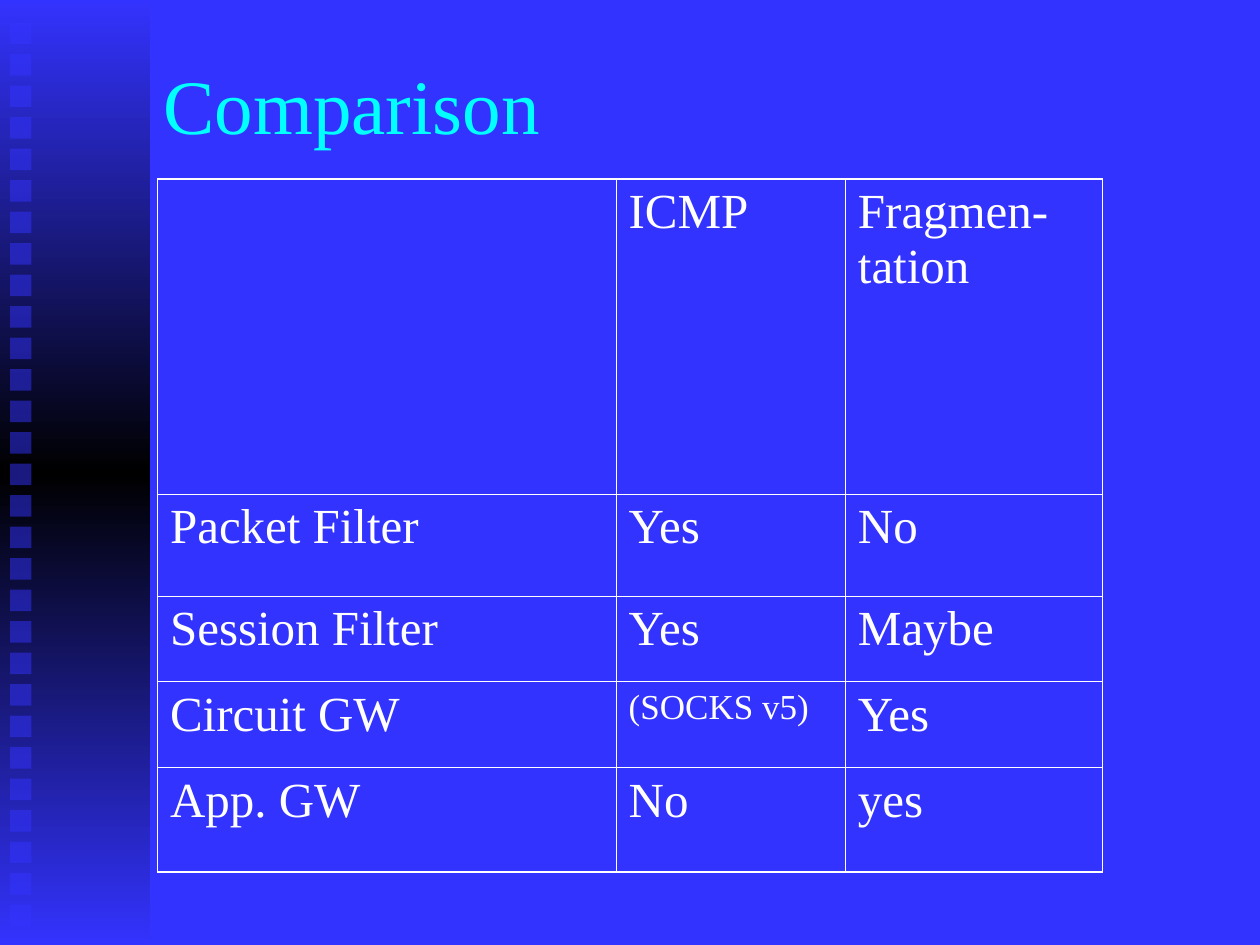
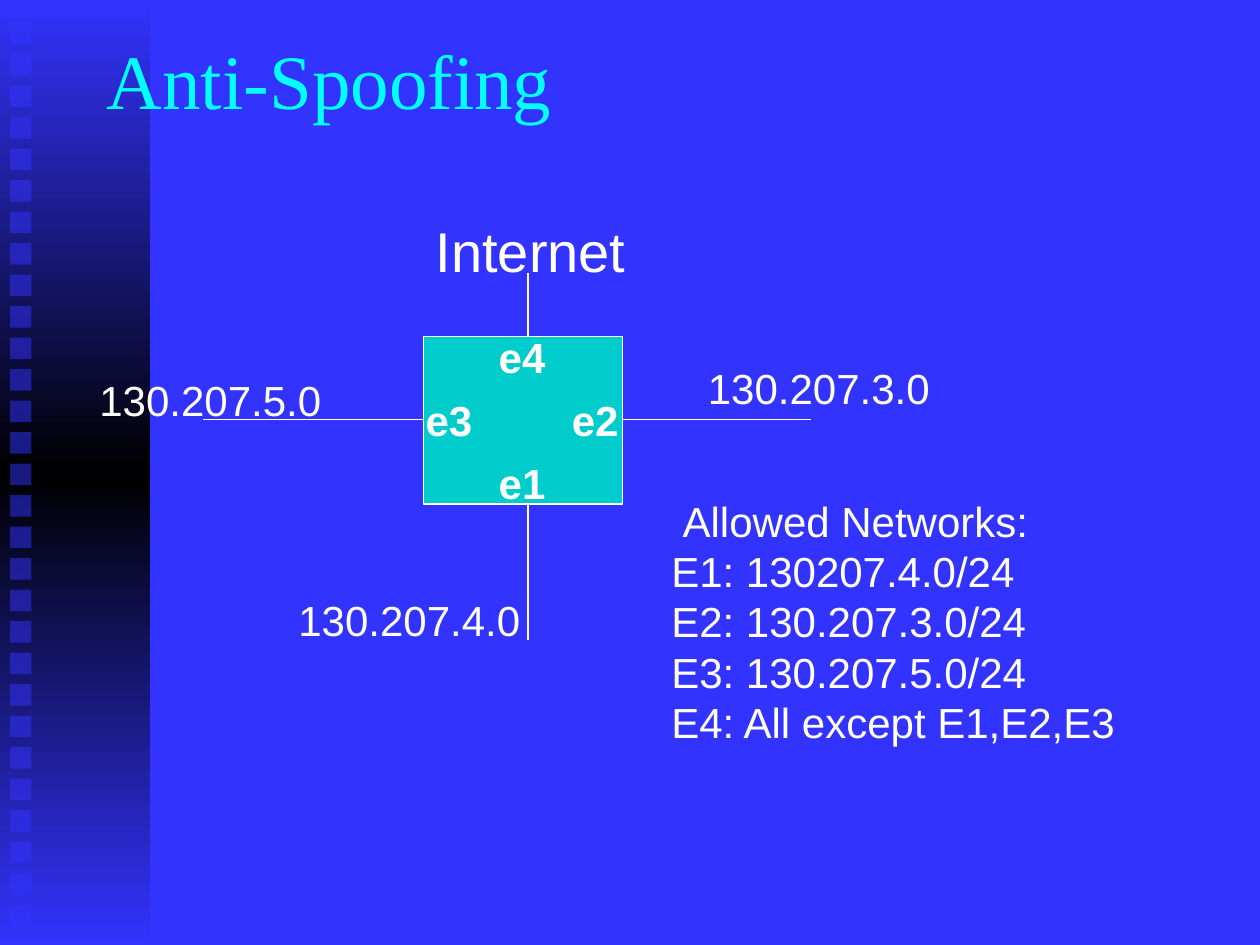
import dataclasses

import pptx
import pptx.dml.color
import pptx.enum.shapes
import pptx.enum.text
import pptx.oxml
import pptx.oxml.ns
import pptx.util
from lxml import etree

Inches = pptx.util.Inches
Pt = pptx.util.Pt
RGB = pptx.dml.color.RGBColor.from_string
qn = pptx.oxml.ns.qn
RECT = pptx.enum.shapes.MSO_SHAPE.RECTANGLE
LINE = pptx.enum.shapes.MSO_CONNECTOR.STRAIGHT
FIT = pptx.enum.text.MSO_AUTO_SIZE.SHAPE_TO_FIT_TEXT
MIDDLE = pptx.enum.text.MSO_ANCHOR.MIDDLE


@dataclasses.dataclass
class Theme:
    """Colours, line widths and text formats of the deck."""
    blue: str = "3333FF"
    black: str = "000000"
    cyan: str = "00FFFF"
    teal: str = "00CCCC"
    white: str = "FFFFFF"
    thin: float = 0.45
    wire: float = 0.74
    thick: float = 1.08

    def __post_init__(self):
        """Set the text formats."""
        self.title = {"name": "Times New Roman", "size": Pt(44), "color": self.cyan}
        self.cell = {"name": "Times New Roman", "size": Pt(28), "color": self.white}
        self.note = {**self.cell, "size": Pt(20)}
        self.label = {"name": "Arial", "size": Pt(24), "color": self.white}
        self.port = {**self.label, "bold": True}
        self.head = {**self.label, "size": Pt(32)}


def write(frame, lines, look):
    """Put lines into a text frame, one paragraph each, in one format."""
    for i, line in enumerate(lines):
        para = frame.paragraphs[0] if i == 0 else frame.add_paragraph()
        run = para.add_run()
        run.text = line
        for key, value in look.items():
            if key == "color":
                run.font.color.rgb = RGB(value)
            else:
                setattr(run.font, key, value)


def label(slide, spot, lines, look, wrap=True):
    """Add a text box at left, top, width, height and return its frame."""
    frame = slide.shapes.add_textbox(*map(Inches, spot)).text_frame
    frame.word_wrap = wrap
    frame.auto_size = FIT
    write(frame, lines, look)
    return frame


theme = Theme()
deck = pptx.Presentation()
deck.slide_width, deck.slide_height = Inches(10), Inches(7.5)

# Shared: background, gradient band with squares, title
slides = []
for title, left, top in (("Comparison", 1.2, 0.2), ("Anti-Spoofing", 0.75, 0)):
    slide = deck.slides.add_slide(deck.slide_layouts[6])
    slides.append(slide)
    slide.background.fill.solid()
    slide.background.fill.fore_color.rgb = RGB(theme.blue)

    band = slide.shapes.add_shape(RECT, 0, 0, Inches(1.19), Inches(7.5))
    band.shadow.inherit = False
    band.line.fill.background()
    band.fill.gradient()
    band.fill.gradient_angle = 90
    stops = band.element.spPr.find(".//" + qn("a:gsLst"))
    for stop in list(stops):
        stops.remove(stop)
    for place, color in ((0, theme.blue), (50, theme.black), (100, theme.blue)):
        stop = etree.SubElement(stops, qn("a:gs"), pos=str(place * 1000))
        etree.SubElement(stop, qn("a:srgbClr"), val=color)

    for i in range(29):
        square = slide.shapes.add_shape(
            RECT, Inches(0.08), Inches(0.18 + 0.25 * i), Inches(0.17), Inches(0.17))
        square.shadow.inherit = False
        square.line.fill.background()
        square.fill.solid()
        square.fill.fore_color.rgb = RGB(theme.blue)
        tint = square.element.spPr.find(".//" + qn("a:srgbClr"))
        etree.SubElement(tint, qn("a:alpha"), val="50000")

    frame = label(slide, (left, top, 8.5, 1.25), [title], theme.title)
    frame.auto_size = pptx.enum.text.MSO_AUTO_SIZE.NONE
    frame.vertical_anchor = MIDDLE

# Slide 1: comparison table
compare, spoof = slides
rows = [
    ("", "ICMP", "Fragmen-tation"),
    ("Packet Filter", "Yes", "No"),
    ("Session Filter", "Yes", "Maybe"),
    ("Circuit GW", "(SOCKS v5)", "Yes"),
    ("App. GW", "No", "yes"),
]
widths = (3.64, 1.82, 2.04)
heights = (2.5, 0.81, 0.68, 0.68, 0.83)
table = compare.shapes.add_table(
    len(rows), len(widths), Inches(1.25), Inches(1.42), Inches(7.5), Inches(5.5)).table
table.first_row = table.horz_banding = False
for col, width in zip(table.columns, widths):
    col.width = Inches(width)
for row, height in zip(table.rows, heights):
    row.height = Inches(height)

for r, texts in enumerate(rows):
    for c, text in enumerate(texts):
        cell = table.cell(r, c)
        cell.fill.background()
        if text:
            look = theme.note if text.startswith("(") else theme.cell
            write(cell.text_frame, [text], look)
        props = cell._tc.get_or_add_tcPr()
        edges = {"L": c == 0, "R": c == len(widths) - 1,
                 "T": r == 0, "B": r == len(rows) - 1}
        for i, (side, outer) in enumerate(edges.items()):
            weight = Pt(theme.thick if outer else theme.thin)
            edge = etree.Element(qn("a:ln" + side), w=str(int(weight)))
            fill = etree.SubElement(edge, qn("a:solidFill"))
            etree.SubElement(fill, qn("a:srgbClr"), val=theme.white)
            props.insert(i, edge)

# Slide 2: router with four ports
router = spoof.shapes.add_shape(
    RECT, Inches(3.36), Inches(2.67), Inches(1.58), Inches(1.33))
router.shadow.inherit = False
router.fill.solid()
router.fill.fore_color.rgb = RGB(theme.teal)
router.line.color.rgb = RGB(theme.white)
router.line.width = Pt(theme.wire)

for ends in ((4.19, 2.67, 4.19, 2.17), (4.94, 3.33, 6.44, 3.33),
             (4.19, 4, 4.19, 5.08), (3.36, 3.33, 1.61, 3.33)):
    wire = spoof.shapes.add_connector(LINE, *map(Inches, ends))
    wire.line.color.rgb = RGB(theme.white)
    wire.line.width = Pt(theme.wire)
    etree.SubElement(wire.element.spPr, qn("a:effectLst"))

label(spoof, (3.36, 1.67, 1.92, 0.64), ["Internet"], theme.head)
for net, left, top in (("130.207.5.0", 0.69, 2.92), ("130.207.3.0", 5.52, 2.83),
                       ("130.207.4.0", 2.27, 4.67)):
    label(spoof, (left, top, 2.48, 0.5), [net], theme.label)
for port, left, top in (("e1", 3.86, 3.58), ("e2", 4.44, 3.08),
                        ("e3", 3.28, 3.08), ("e4", 3.86, 2.58)):
    label(spoof, (left, top, 0.57, 0.5), [port], theme.port, wrap=False)

allowed = label(spoof, (5.23, 3.88, 3.74, 2.1), [
    "Allowed Networks:",
    "E1: 130207.4.0/24",
    "E2: 130.207.3.0/24",
    "E3: 130.207.5.0/24",
    "E4: All except E1,E2,E3",
], theme.label, wrap=False)
indent = allowed.paragraphs[0]._p.get_or_add_pPr()
indent.set("marL", str(int(Inches(0.09))))

deck.save("out.pptx")
